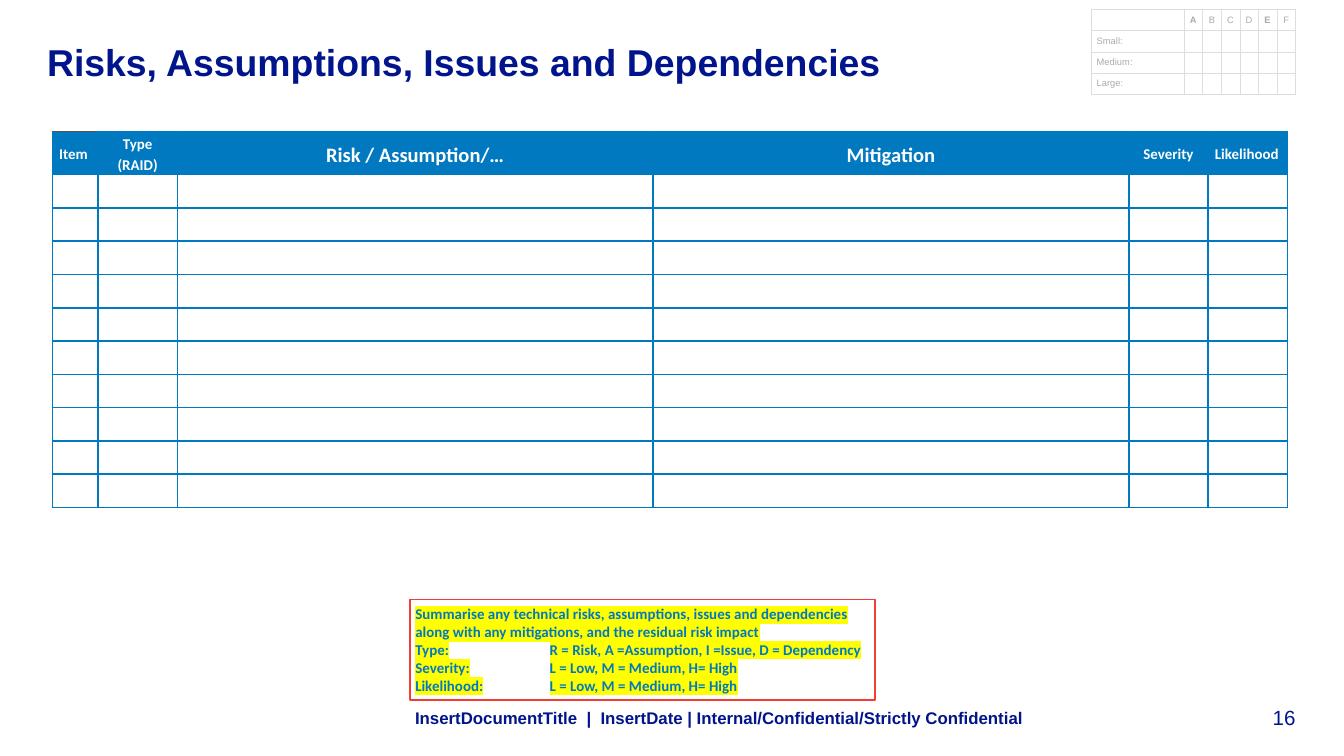
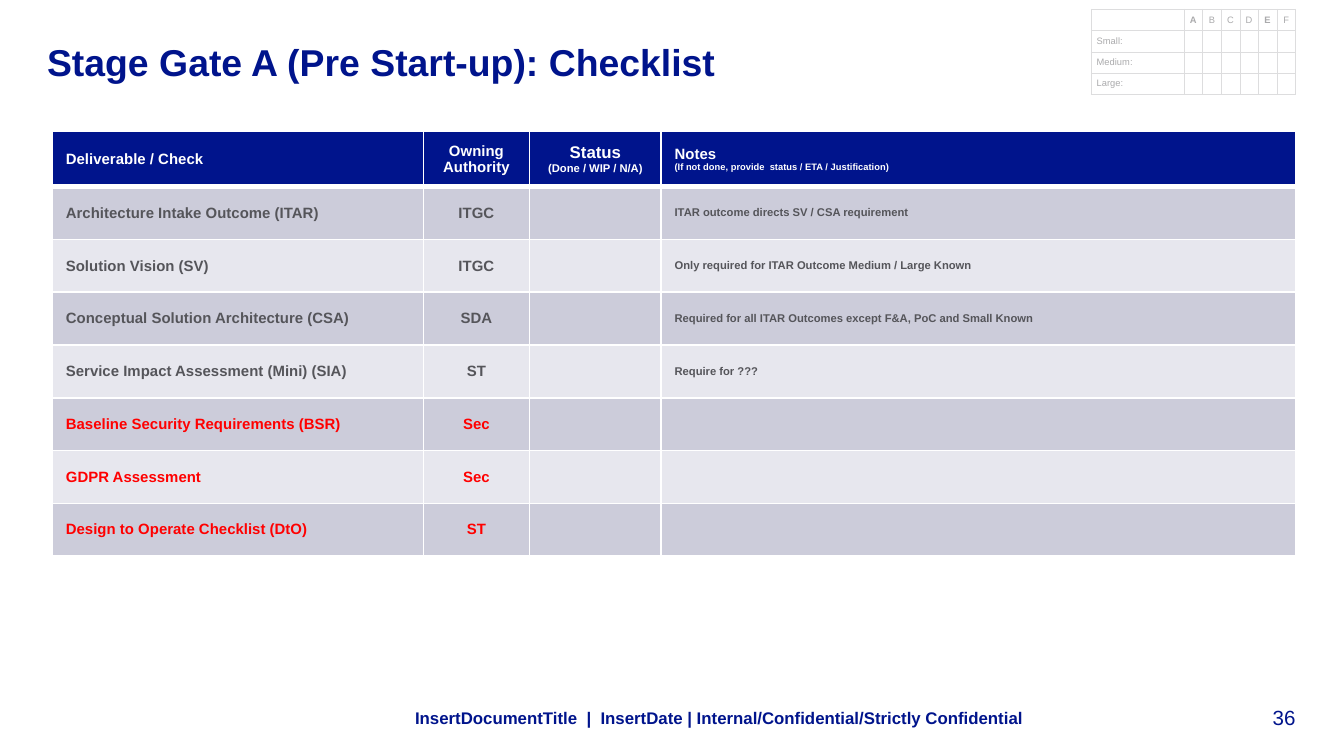
from dataclasses import dataclass

from lxml import etree
from pptx import Presentation
from pptx.dml.color import RGBColor
from pptx.enum.shapes import MSO_SHAPE
from pptx.enum.text import MSO_ANCHOR, PP_ALIGN
from pptx.oxml.ns import qn
from pptx.util import Inches, Pt

LEFT, CENTER, RIGHT = PP_ALIGN.LEFT, PP_ALIGN.CENTER, PP_ALIGN.RIGHT
TOP, MIDDLE, BOTTOM = MSO_ANCHOR.TOP, MSO_ANCHOR.MIDDLE, MSO_ANCHOR.BOTTOM
RECTANGLE = MSO_SHAPE.RECTANGLE


@dataclass(frozen=True)
class Theme:
    navy: str = "00148C"
    blue: str = "0079C1"
    gray: str = "55555A"
    white: str = "FFFFFF"
    red: str = "FF0000"
    note_line: str = "F53C32"
    yellow: str = "FFFF00"
    band_dark: str = "CCCCDA"
    band_light: str = "E7E7EE"
    grid_line: str = "DDDDDE"
    grid_text: str = "AAAAAC"
    sans: str = "Arial"
    narrow: str = "Calibri"
    title: int = 20
    heading: int = 11
    footer: int = 9
    body: int = 8
    small: int = 6
    tiny: int = 5


THEME = Theme()


# Text
def add_span(paragraph, text, size, color, bold, font, highlight):
    span = paragraph.add_run()
    span.text = text
    span.font.size = Pt(size)
    span.font.bold = bold
    span.font.name = font
    span.font.color.rgb = RGBColor.from_string(color)
    if highlight:
        mark = etree.Element(qn("a:highlight"))
        etree.SubElement(mark, qn("a:srgbClr"), val=highlight)
        span.font.fill._xPr.find(qn("a:solidFill")).addnext(mark)


def write_text(paragraph, text, *, size=THEME.body, color=THEME.navy, bold=True,
               font=THEME.sans, align=LEFT, after=0, spacing=None, tab=None,
               highlight=None, detail=None, detail_size=THEME.small):
    """Fill one paragraph; detail is a smaller second line."""
    paragraph.alignment = align
    paragraph.space_after = Pt(after)
    if spacing:
        paragraph.line_spacing = spacing
    if tab:
        stops = etree.SubElement(paragraph._p.get_or_add_pPr(), qn("a:tabLst"))
        etree.SubElement(stops, qn("a:tab"), pos=str(Inches(tab)), algn="l")
    if not text:
        etree.SubElement(paragraph._p, qn("a:endParaRPr"), sz=str(size * 100))
        return
    add_span(paragraph, text, size, color, bold, font, highlight)
    if detail:
        paragraph.add_line_break()
        add_span(paragraph, detail, detail_size, color, bold, font, highlight)


def set_edges(cell, edges):
    properties = cell._tc.get_or_add_tcPr()
    for side in "LRTB":
        color, width = edges[side]
        line = etree.SubElement(properties, qn(f"a:ln{side}"), w=str(Pt(width)))
        fill = etree.SubElement(line, qn("a:solidFill"))
        etree.SubElement(fill, qn("a:srgbClr"), val=color)


class Deck:
    def __init__(self, theme):
        self.theme = theme
        self.file = Presentation()
        self.file.slide_width = Inches(10)
        self.file.slide_height = Inches(10 * 9 / 16)
        self.page = None

    # Elements
    def fill_box(self, box, paragraphs, anchor, inset, **style):
        frame = box.text_frame
        frame.word_wrap = True
        frame.vertical_anchor = anchor
        frame.margin_left = frame.margin_right = Inches(inset[0])
        frame.margin_top = frame.margin_bottom = Inches(inset[1])
        for index, text in enumerate(paragraphs):
            paragraph = frame.add_paragraph() if index else frame.paragraphs[0]
            write_text(paragraph, text, **style)

    def text(self, at, text, anchor=TOP, inset=(0, 0), **style):
        box = self.page.shapes.add_textbox(*map(Inches, at))
        self.fill_box(box, [text], anchor, inset, **style)

    def note(self, at, paragraphs):
        box = self.page.shapes.add_shape(RECTANGLE, *map(Inches, at))
        box.shadow.inherit = False
        box.fill.background()
        box.line.color.rgb = RGBColor.from_string(self.theme.note_line)
        box.line.width = Pt(0.75)
        self.fill_box(box, paragraphs, TOP, (0.04, 0.04), color=self.theme.blue,
                      font=self.theme.narrow, highlight=self.theme.yellow, tab=1)

    def table(self, left, top, widths, heights, cells, border, inset):
        """Each cell is (text, format); format may also hold fill and edges."""
        frame = self.page.shapes.add_table(
            len(heights), len(widths), Inches(left), Inches(top),
            Inches(sum(widths)), Inches(sum(heights)))
        table = frame.table
        table.first_row = table.horz_banding = False
        for column, width in zip(table.columns, widths):
            column.width = Inches(width)
        for row, height, contents in zip(table.rows, heights, cells):
            row.height = Inches(height)
            for cell, (text, style) in zip(row.cells, contents):
                style = dict(style)
                fill = style.pop("fill", None)
                set_edges(cell, dict.fromkeys("LRTB", border) | style.pop("edges", {}))
                if fill:
                    cell.fill.solid()
                    cell.fill.fore_color.rgb = RGBColor.from_string(fill)
                else:
                    cell.fill.background()
                cell.vertical_anchor = MIDDLE
                cell.margin_left = cell.margin_right = Inches(inset[0])
                cell.margin_top = cell.margin_bottom = Inches(inset[1])
                write_text(cell.text_frame.paragraphs[0], text, **style)

    # Shared parts of every slide
    def size_grid(self):
        theme = self.theme
        thin, thick = (theme.grid_line, 0.25), (theme.grid_line, 0.5)
        base = dict(size=theme.tiny, color=theme.grid_text, bold=False, after=6)
        head_edges = {"T": thick, "B": thick}
        cells = [[("", base | {"edges": head_edges | {"L": thick}})]]
        cells[0] += [(letter, base | dict(bold=letter in "AE", align=CENTER,
                                          edges=head_edges)) for letter in "ABCDEF"]
        for index, label in enumerate(("Small:", "Medium:", "Large:")):
            edges = {} if index else {"T": thick}
            cells.append([(label, base | {"edges": edges | {"L": thick}})]
                         + [("", base | {"edges": edges})] * 6)
        self.table(8.12, 0.07, [0.69] + [0.83 / 6] * 6, [0.63 / 4] * 4, cells,
                   border=thin, inset=(0.04, 0))

    def start_page(self, title, number):
        theme = self.theme
        self.page = self.file.slides.add_slide(self.file.slide_layouts[6])
        self.text((9.06, 5.24, 0.58, 0.19), number, anchor=BOTTOM,
                  size=theme.heading, bold=False, align=RIGHT)
        self.size_grid()
        self.text((0.35, 0.29, 7.08, 0.47), title, size=theme.title)

    def footer(self):
        self.text((2.99, 5.21, 6.33, 0.26),
                  "InsertDocumentTitle  |  InsertDate | Internal/Confidential/Strictly Confidential",
                  anchor=MIDDLE, inset=(0.1, 0.05), size=self.theme.footer, after=6)


def build_risks(deck):
    theme = deck.theme
    deck.start_page("Risks, Assumptions, Issues and Dependencies", "16")
    head = dict(color=theme.white, font=theme.narrow, spacing=1.15,
                fill=theme.blue, align=CENTER)
    large = head | {"size": theme.heading}
    header = [
        ("Item", head | {"align": LEFT, "edges": {"T": (theme.gray, 1)}}),
        ("Type (RAID)", head),
        ("Risk / Assumption/…", large),
        ("Mitigation", large),
        ("Severity", head),
        ("Likelihood", head | {"align": LEFT}),
    ]
    blank_rows = 10
    deck.table(0.39, 0.98, [0.34, 0.59, 3.54, 3.54, 0.59, 0.59],
               [0.32] + [2.48 / blank_rows] * blank_rows,
               [header] + [[("", {})] * len(header)] * blank_rows,
               border=(theme.blue, 1), inset=(0.05, 0))
    deck.footer()
    deck.note((3.05, 4.46, 3.46, 0.75), [
        "Summarise any technical risks, assumptions, issues and dependencies "
        "along with any mitigations, and the residual risk impact",
        "Type:\tR = Risk, A =Assumption, I =Issue, D = Dependency",
        "Severity:\tL = Low, M = Medium, H= High",
        "Likelihood:\tL = Low, M = Medium, H= High",
    ])


def build_checklist(deck):
    theme = deck.theme
    deck.start_page("Stage Gate A (Pre Start-up): Checklist", "36")
    rule = (theme.white, 3)
    head = dict(color=theme.white, after=6, fill=theme.navy, edges={"B": rule})
    cells = [[
        ("Deliverable / Check", head),
        ("Owning Authority", head | {"align": CENTER}),
        ("Status", head | dict(align=CENTER, size=theme.footer,
                               detail="(Done / WIP / N/A)")),
        ("Notes", head | dict(detail="(If not done, provide  status / ETA / Justification)",
                              detail_size=theme.tiny)),
    ]]
    checks = [
        ("Architecture Intake Outcome (ITAR)", "ITGC", theme.gray,
         "ITAR outcome directs SV / CSA requirement"),
        ("Solution Vision (SV)", "ITGC", theme.gray,
         "Only required for ITAR Outcome Medium / Large Known"),
        ("Conceptual Solution Architecture (CSA)", "SDA", theme.gray,
         "Required for all ITAR Outcomes except F&A, PoC and Small Known"),
        ("Service Impact Assessment (Mini) (SIA)", "ST", theme.gray, "Require for ???"),
        ("Baseline Security Requirements (BSR)", "Sec", theme.red, ""),
        ("GDPR Assessment", "Sec", theme.red, ""),
        ("Design to Operate Checklist (DtO)", "ST", theme.red, ""),
    ]
    for index, (check, owner, color, remark) in enumerate(checks):
        base = dict(color=color, after=6, edges={} if index else {"T": rule},
                    fill=theme.band_light if index % 2 else theme.band_dark)
        cells.append([(check, base), (owner, base | {"align": CENTER}),
                      ("", base), (remark, base | {"size": theme.small})])
    deck.table(0.39, 0.98, [2.76, 0.79, 0.98, 4.72],
               [0.41] + [2.75 / len(checks)] * len(checks), cells,
               border=(theme.white, 1), inset=(0.1, 0.04))
    deck.footer()


def main():
    deck = Deck(THEME)
    build_risks(deck)
    build_checklist(deck)
    deck.file.save("out.pptx")


if __name__ == "__main__":
    main()
